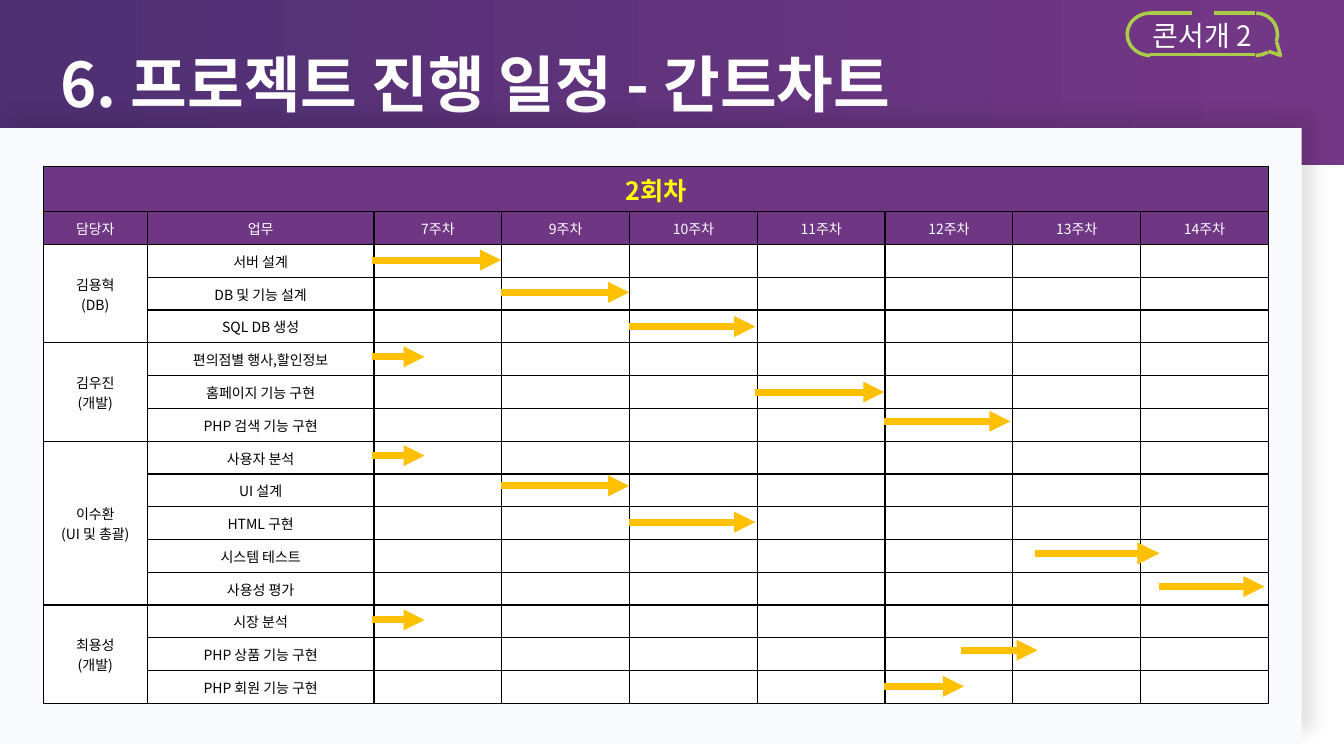
from dataclasses import dataclass
from typing import Any

import pptx
import pptx.dml.color
import pptx.enum.dml
import pptx.enum.shapes
import pptx.enum.text
import pptx.oxml
import pptx.oxml.ns
import pptx.util

Inches = pptx.util.Inches
Pt = pptx.util.Pt
SHAPE = pptx.enum.shapes.MSO_SHAPE
ALIGN = pptx.enum.text.PP_ALIGN
ANCHOR = pptx.enum.text.MSO_ANCHOR
qn = pptx.oxml.ns.qn

FONT = "Noto Sans CJK KR"
COLORS = {
    "banner_left": "4E3073", "banner_right": "743786", "panel": "F9FAFE",
    "bubble": "ABCC49", "header": "6E3683", "round": "FFFF00",
    "arrow": "FFC000", "white": "FFFFFF", "black": "000000",
}
FORMATS = {
    "title": {"size": Pt(44), "bold": True, "name": FONT},
    "team": {"size": Pt(20), "bold": False, "name": FONT},
    "round": {"size": Pt(18), "bold": True, "name": FONT},
    "cell": {"size": Pt(10), "bold": False, "name": FONT},
}
CELL_MARGINS = {
    "margin_left": Inches(0.01), "margin_right": Inches(0.01),
    "margin_top": Inches(0.01), "margin_bottom": 0,
}


@dataclass
class Task:
    name: str
    start: float
    end: float
    y: float
    weight: float = 5


@dataclass
class Member:
    label: str
    tasks: list[Task]


WEEKS = [7, 9, 10, 11, 12, 13, 14]
MEMBERS = [
    Member("김용혁\n(DB)", [
        Task("서버 설계", 3.69, 4.97, 2.58),
        Task("DB 및 기능 설계", 4.97, 6.24, 2.9),
        Task("SQL DB 생성", 6.24, 7.49, 3.24)]),
    Member("김우진\n(개발)", [
        Task("편의점별 행사,할인정보", 3.69, 4.21, 3.54),
        Task("홈페이지 기능 구현", 7.49, 8.77, 3.89),
        Task("PHP 검색 기능 구현", 8.77, 10.02, 4.18)]),
    Member("이수환\n(UI 및 총괄)", [
        Task("사용자 분석", 3.69, 4.21, 4.52),
        Task("UI 설계", 4.97, 6.24, 4.82),
        Task("HTML 구현", 6.24, 7.49, 5.18),
        Task("시스템 테스트", 10.27, 11.5, 5.49, 5.25),
        Task("사용성 평가", 11.5, 12.54, 5.82)]),
    Member("최용성\n(개발)", [
        Task("시장 분석", 3.69, 4.21, 6.15),
        Task("PHP 상품 기능 구현", 9.53, 10.29, 6.45),
        Task("PHP 회원 기능 구현", 8.77, 9.56, 6.81)]),
]


def rgb(name: str) -> pptx.dml.color.RGBColor:
    return pptx.dml.color.RGBColor.from_string(COLORS[name])


def element(xml: str) -> Any:
    return pptx.oxml.parse_xml(xml.replace(" ", f' {pptx.oxml.ns.nsdecls("a")} ', 1))


def paint(part: Any, color: str) -> None:
    part.fill.solid()
    part.fill.fore_color.rgb = rgb(color)


def write(paragraph: Any, text: str, style: str, color: str) -> None:
    paragraph.text = text
    for run in paragraph.runs:
        for attribute, value in FORMATS[style].items():
            setattr(run.font, attribute, value)
        run.font.color.rgb = rgb(color)
        run.font._element.find(qn("a:latin")).addnext(element(f'<a:ea typeface="{FONT}"/>'))
    size = FORMATS[style]["size"].centipoints
    for line_break in paragraph._p.findall(qn("a:br")):
        line_break.append(element(f'<a:rPr sz="{size}"/>'))
    if not text:
        paragraph._p.append(element(f'<a:endParaRPr sz="{size}"/>'))


def add_box(shapes: Any, kind: Any, x: float, y: float, w: float, h: float) -> Any:
    box = shapes.add_shape(kind, Inches(x), Inches(y), Inches(w), Inches(h))
    box.shadow.inherit = False
    box.line.fill.background()
    return box


def outline(part: Any, color: str, weight: float) -> None:
    part.line.color.rgb = rgb(color)
    part.line.width = Pt(weight)


def add_line(shapes: Any, x1: float, x2: float, y: float, color: str, weight: float) -> Any:
    line = shapes.add_connector(pptx.enum.shapes.MSO_CONNECTOR.STRAIGHT,
                                Inches(x1), Inches(y), Inches(x2), Inches(y))
    outline(line, color, weight)
    line._element.spPr.append(element("<a:effectLst />"))
    return line


def add_background(shapes: Any) -> None:
    banner = add_box(shapes, SHAPE.RECTANGLE, 0, 0, 13.33, 1.64)
    banner.fill.gradient()
    banner.fill.gradient_angle = 0
    for stop, color in zip(banner.fill.gradient_stops, ("banner_left", "banner_right")):
        stop.color.rgb = rgb(color)
    title = banner.text_frame.paragraphs[0]
    write(title, "6. 프로젝트 진행 일정 - 간트차트", "title", "white")
    title.alignment = ALIGN.LEFT
    title.level = 1
    title._p.pPr.set("marL", str(Inches(0.5)))
    title._p.pPr.set("indent", "0")

    panel = add_box(shapes, SHAPE.RECTANGLE, 0, 1.27, 12.91, 6.11)
    paint(panel, "panel")
    panel._element.spPr.find(qn("a:effectLst")).append(element(
        f'<a:outerShdw blurRad="{Pt(13)}" dist="{Pt(13)}" dir="{315 * 60000}" algn="bl" rotWithShape="0">'
        f'<a:srgbClr val="{COLORS["black"]}"><a:alpha val="11000"/></a:srgbClr></a:outerShdw>'))


def add_bubble(shapes: Any) -> None:
    bracket = add_box(shapes, SHAPE.LEFT_BRACKET, 11.18, 0.13, 0.23, 0.42)
    bracket.adjustments[0] = 0.92
    curves = [bracket]
    for start, end in ((161.7, 270.1), (88.3, 122.6)):
        arc = add_box(shapes, SHAPE.ARC, 12.25, 0.13, 0.42, 0.42)
        arc.adjustments[0], arc.adjustments[1] = start * 0.6, end * 0.6
        arc._element.spPr.find(qn("a:xfrm")).set("flipH", "1")
        curves.append(arc)
    tail = shapes.build_freeform(Inches(12.66), Inches(0.41))
    tail.add_line_segments([(Inches(12.7), Inches(0.55)), (Inches(12.58), Inches(0.51))], close=False)
    curves.append(tail.convert_to_shape())
    for curve in curves:
        curve.shadow.inherit = False
        curve.fill.background()
        outline(curve, "bubble", 2.5)
    for x1, x2, y in ((11.41, 12.45, 0.54), (11.41, 11.82, 0.13), (12.04, 12.45, 0.13)):
        add_line(shapes, x1, x2, y, "bubble", 2.5)

    team = shapes.add_textbox(Inches(11.3), Inches(0.13), Inches(1.25), Inches(0.44)).text_frame
    team.word_wrap = True
    team.auto_size = pptx.enum.text.MSO_AUTO_SIZE.SHAPE_TO_FIT_TEXT
    write(team.paragraphs[0], "콘서개 2", "team", "white")
    team.paragraphs[0].alignment = ALIGN.CENTER


def fill_cell(cell: Any, text: str, style: str, color: str, fill: str) -> None:
    for attribute, value in CELL_MARGINS.items():
        setattr(cell, attribute, value)
    cell.vertical_anchor = ANCHOR.MIDDLE
    paragraph = cell.text_frame.paragraphs[0]
    write(paragraph, text, style, color)
    paragraph.alignment = ALIGN.CENTER
    properties = cell._tc.get_or_add_tcPr()
    for side in ("lnL", "lnR", "lnT", "lnB"):
        properties.append(element(f'<a:{side} w="{Pt(1)}"><a:solidFill><a:srgbClr val="{COLORS["black"]}"/>'
                                  f'</a:solidFill></a:{side}>'))
    paint(cell, fill)


def add_schedule(shapes: Any) -> None:
    blank = [""] * len(WEEKS)
    rows = [["2회차", "", *blank], ["담당자", "업무", *(f"{week}주차" for week in WEEKS)]]
    spans = []
    for member in MEMBERS:
        spans.append((len(rows), len(member.tasks)))
        for index, task in enumerate(member.tasks):
            rows.append(["" if index else member.label, task.name, *blank])
    table = shapes.add_table(len(rows), len(rows[0]), Inches(0.43), Inches(1.65),
                             Inches(12.15), Inches(5.33)).table
    for index, column in enumerate(table.columns):
        column.width = Inches((1.03, 2.25)[index] if index < 2 else (12.15 - 3.28) / len(WEEKS))
    for r, texts in enumerate(rows):
        table.rows[r].height = Inches((5.33 - 0.45) / (len(rows) - 1) if r else 0.45)
        style, color = ("cell", "white" if r == 1 else "black") if r else ("round", "round")
        for c, text in enumerate(texts):
            fill_cell(table.cell(r, c), text, style, color, "header" if r < 2 else "white")
    table.cell(0, 0).merge(table.cell(0, len(rows[0]) - 1))
    for first, count in spans:
        table.cell(first, 0).merge(table.cell(first + count - 1, 0))


def add_arrows(shapes: Any) -> None:
    for member in MEMBERS:
        for task in member.tasks:
            arrow = add_line(shapes, task.start, task.end, task.y, "arrow", task.weight)
            arrow.line._get_or_add_ln().append(element('<a:tailEnd type="triangle"/>'))


def main() -> None:
    deck = pptx.Presentation()
    deck.slide_width, deck.slide_height = Inches(13.33), Inches(7.5)
    slide = deck.slides.add_slide(deck.slide_layouts[6])
    add_background(slide.shapes)
    add_bubble(slide.shapes.add_group_shape().shapes)
    add_schedule(slide.shapes)
    add_arrows(slide.shapes)
    deck.save("out.pptx")


if __name__ == "__main__":
    main()
